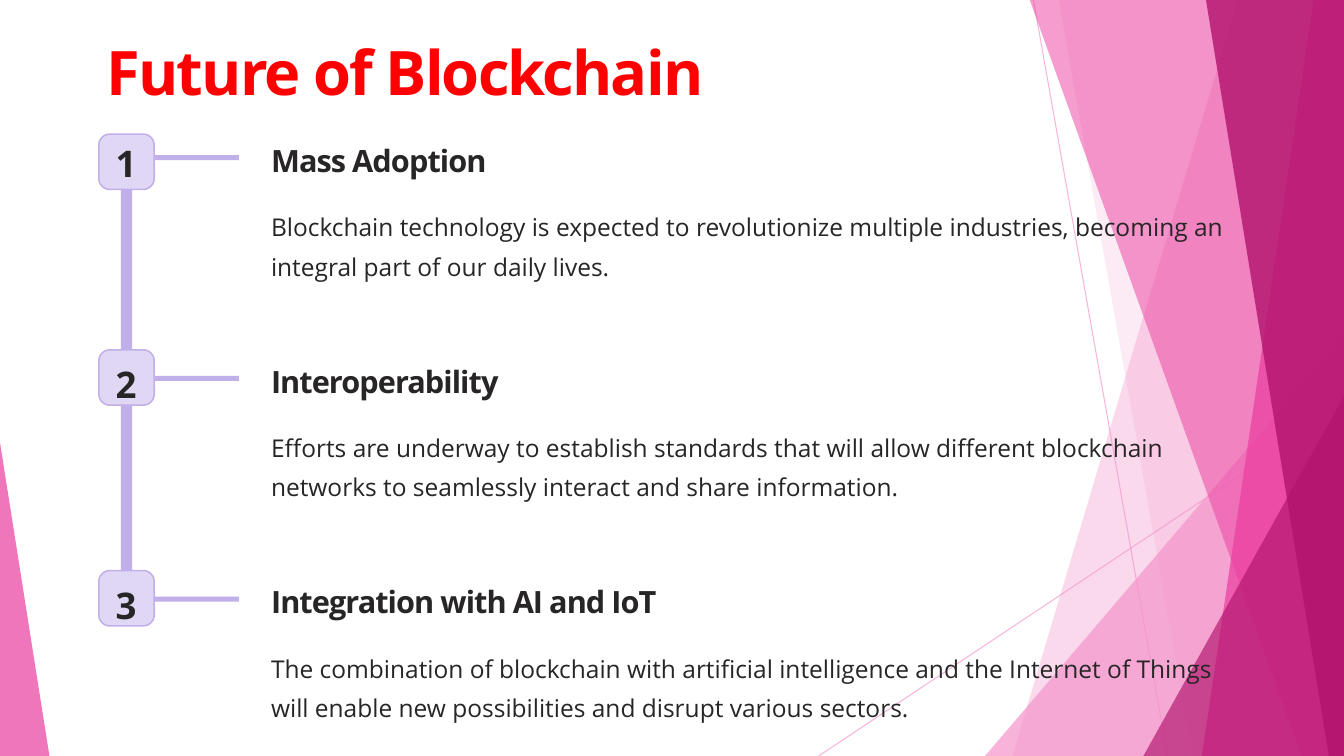
from dataclasses import dataclass

from pptx import Presentation
from pptx.dml.color import RGBColor
from pptx.enum.shapes import MSO_CONNECTOR, MSO_SHAPE
from pptx.enum.text import MSO_AUTO_SIZE, PP_ALIGN
from pptx.oxml.ns import qn
from pptx.util import Inches, Pt
from lxml import etree


@dataclass(frozen=True)
class TextStyle:
    size: float
    leading: float
    color: str = "272525"
    bold: bool = True
    tracking: float = 0
    align: PP_ALIGN = PP_ALIGN.LEFT
    wrap: bool = False


@dataclass(frozen=True)
class Theme:
    font: str = "Open Sans"
    light_pink: str = "F496CB"
    pink: str = "EB3D9F"
    magenta: str = "B2136D"
    lilac: str = "C1AFE9"
    pale_lilac: str = "E0D7F4"
    title: TextStyle = TextStyle(43.8, 54.7, "FF0000", tracking=-1.3)
    number: TextStyle = TextStyle(26.2, 32.8, tracking=-0.8, align=PP_ALIGN.CENTER)
    heading: TextStyle = TextStyle(21.9, 27.4, tracking=-0.7)
    body: TextStyle = TextStyle(17.5, 28, bold=False, wrap=True)


THEME = Theme()
WIDTH, HEIGHT, TOP = 13.33, 7.5, -0.01
PITCH = 2.19

# Badge top, heading, heading width, description
MILESTONES = [
    (1.33, "Mass Adoption", 2.43,
     "Blockchain technology is expected to revolutionize multiple industries, "
     "becoming an integral part of our daily lives."),
    (3.47, "Interoperability", 2.43,
     "Efforts are underway to establish standards that will allow different "
     "blockchain networks to seamlessly interact and share information."),
    (5.66, "Integration with AI and IoT", 3.81,
     "The combination of blockchain with artificial intelligence and the Internet "
     "of Things will enable new possibilities and disrupt various sectors."),
]


def set_opacity(shape, percent):
    for color in shape._element.spPr.iter(qn("a:srgbClr")):
        etree.SubElement(color, qn("a:alpha")).set("val", str(percent * 1000))


def paint(shape, color, opacity=100):
    shape.shadow.inherit = False
    shape.fill.solid()
    shape.fill.fore_color.rgb = RGBColor.from_string(color)
    shape.line.fill.background()
    if opacity < 100:
        set_opacity(shape, opacity)


def add_block(page, kind, left, top, width, height, color, opacity=100, adjust=None):
    shape = page.shapes.add_shape(
        kind, Inches(left), Inches(top), Inches(width), Inches(height))
    if adjust is not None:
        shape.adjustments[0] = adjust
    paint(shape, color, opacity)
    return shape


def add_band(page, top_left, bottom_left, color, opacity):
    """Fill from a slanted left edge to the right edge of the slide."""
    builder = page.shapes.build_freeform(Inches(top_left), Inches(TOP))
    corners = [(WIDTH, TOP), (WIDTH, HEIGHT), (bottom_left, HEIGHT)]
    builder.add_line_segments([(Inches(x), Inches(y)) for x, y in corners], close=True)
    paint(builder.convert_to_shape(), color, opacity)


def add_hairline(page, x1, y1, x2, y2):
    line = page.shapes.add_connector(
        MSO_CONNECTOR.STRAIGHT, Inches(x1), Inches(y1), Inches(x2), Inches(y2))
    line.line.color.rgb = RGBColor.from_string(THEME.light_pink)
    line.line.width = Pt(0.75)
    set_opacity(line, 70)
    etree.SubElement(line._element.spPr, qn("a:effectLst"))


def add_text(page, text, left, top, width, height, style):
    box = page.shapes.add_textbox(
        Inches(left), Inches(top), Inches(width), Inches(height))
    frame = box.text_frame
    frame.auto_size = MSO_AUTO_SIZE.NONE
    frame.word_wrap = style.wrap
    para = frame.paragraphs[0]
    para.text = text
    para.alignment = style.align
    para.line_spacing = Pt(style.leading)
    font = para.font
    font.name = THEME.font
    font.size = Pt(style.size)
    font.bold = style.bold
    font.color.rgb = RGBColor.from_string(style.color)
    if style.tracking:
        properties = para._p.get_or_add_pPr().get_or_add_defRPr()
        properties.set("spc", str(round(style.tracking * 100)))


def add_backdrop(page):
    triangle = MSO_SHAPE.ISOSCELES_TRIANGLE
    add_hairline(page, 10.25, 0, 11.58, HEIGHT)
    add_hairline(page, WIDTH, 4.03, 8.12, HEIGHT)
    add_band(page, 12.28, 10.04, THEME.light_pink, 36)
    add_band(page, 10.5, 11.83, THEME.light_pink, 20)
    add_block(page, triangle, 9.77, 3.33, 3.56, 4.17, THEME.light_pink, 72, 1)
    add_band(page, 10.21, 12.91, THEME.pink, 50)
    add_band(page, 13.03, 11.92, THEME.pink, 70)
    add_band(page, 11.96, 13.18, THEME.magenta, 80)
    add_block(page, triangle, 11.34, 3.93, 1.99, 3.57, THEME.magenta, 66, 1)
    add_block(page, triangle, 0, 4.39, 0.49, 3.11, THEME.pink, 70, 0)


def add_milestone(page, index, badge_top, heading, heading_width, description):
    shift = index * PITCH
    add_block(page, MSO_SHAPE.RECTANGLE, 1.52, 1.54 + shift, 0.85, 0.05, THEME.lilac)
    badge = add_block(page, MSO_SHAPE.ROUNDED_RECTANGLE, 0.98, badge_top,
                      0.55, 0.55, THEME.pale_lilac, adjust=0.2)
    badge.line.color.rgb = RGBColor.from_string(THEME.lilac)
    badge.line.width = Pt(1.09)
    add_text(page, str(index + 1), 1.15, 1.33 + shift, 0.2, 0.46, THEME.number)
    add_text(page, heading, 2.59, 1.34 + shift, heading_width, 0.38, THEME.heading)
    add_text(page, description, 2.59, 1.96 + shift, 9.84, 0.78, THEME.body)


def main():
    deck = Presentation()
    deck.slide_width, deck.slide_height = Inches(WIDTH), Inches(HEIGHT)
    page = deck.slides.add_slide(deck.slide_layouts[6])

    # Backdrop and title
    add_backdrop(page)
    add_text(page, "Future of Blockchain", 0.96, 0.26, 5.7, 0.76, THEME.title)

    # Timeline
    add_block(page, MSO_SHAPE.RECTANGLE, 1.2, 1.49, 0.11, 4.72, THEME.lilac)
    for index, milestone in enumerate(MILESTONES):
        add_milestone(page, index, *milestone)

    deck.save("out.pptx")


if __name__ == "__main__":
    main()
